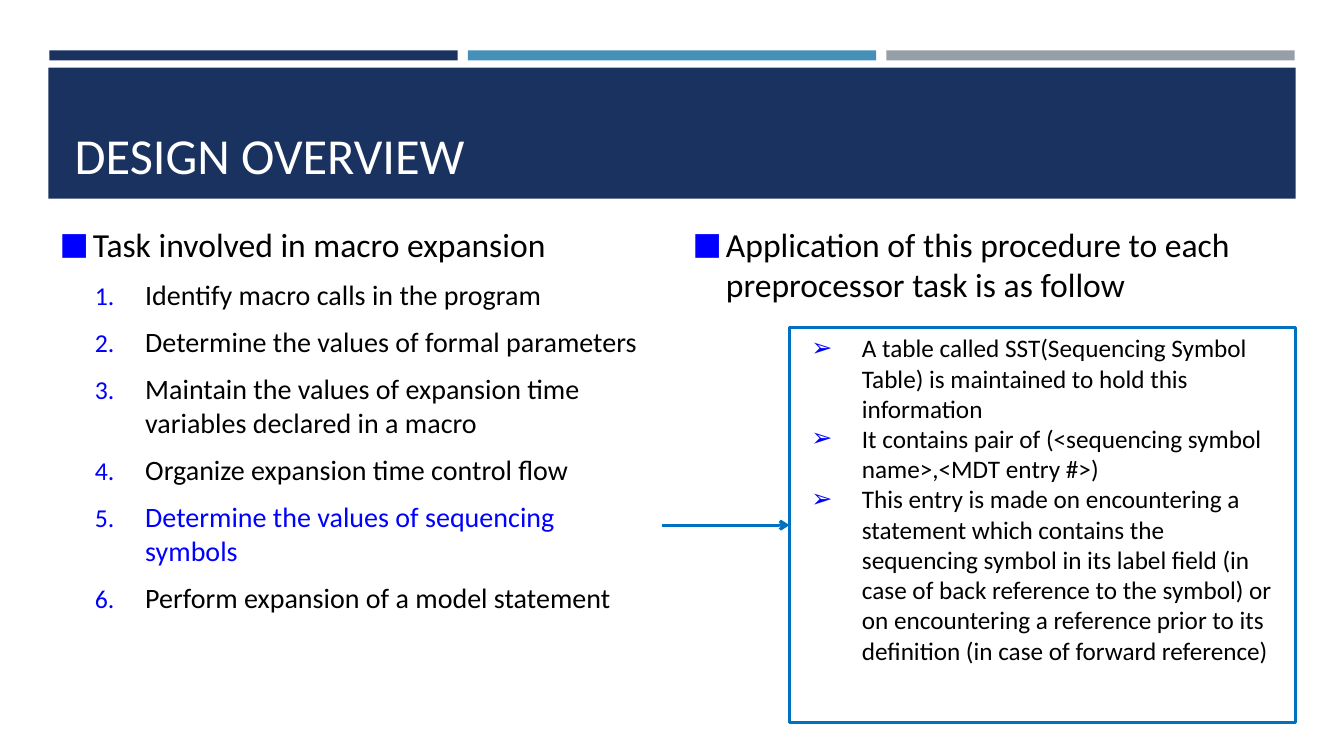
import pptx
import pptx.dml.color
import pptx.enum.shapes
import pptx.enum.text
import pptx.oxml
import pptx.oxml.ns
import pptx.util
from pptx.util import Inches

RGBColor = pptx.dml.color.RGBColor
NAVY = RGBColor(0x1A, 0x32, 0x60)
SKY = RGBColor(0x45, 0x90, 0xB8)
GRAY = RGBColor(0x96, 0x9F, 0xA7)
BLUE = RGBColor(0x00, 0x00, 0xFF)
LINE = RGBColor(0x00, 0x70, 0xC0)
BLACK = RGBColor(0x00, 0x00, 0x00)
WHITE = RGBColor(0xFF, 0xFF, 0xFF)
FONT = "Calibri"

TASKS = [
    "Identify macro calls in the program",
    "Determine the values of formal parameters",
    "Maintain the values of expansion time variables declared in a macro",
    "Organize expansion time control flow",
    "Determine the values of sequencing symbols",
    "Perform expansion of a model statement",
]
CURRENT_TASK = 4
DETAILS = [
    "A table called SST(Sequencing Symbol Table) is maintained to hold this information",
    "It contains pair of (<sequencing symbol name>,<MDT entry #>)",
    "This entry is made on encountering a statement which contains the sequencing "
    "symbol in its label field (in case of back reference to the symbol) or on "
    "encountering a reference prior to its definition (in case of forward reference)",
]


def add_child(parent, tag, **attrs):
    child = pptx.oxml.parse_xml(f"<a:{tag} {pptx.oxml.ns.nsdecls('a')}/>")
    for name, value in attrs.items():
        child.set(name, str(value))
    parent.append(child)
    return child


def add_rect(s, left, top, width, height, fill=None, line=None):
    sp = s.shapes.add_shape(pptx.enum.shapes.MSO_SHAPE.RECTANGLE, Inches(left),
                            Inches(top), Inches(width), Inches(height))
    sp.shadow.inherit = False
    if fill is None:
        sp.fill.background()
    else:
        sp.fill.solid()
        sp.fill.fore_color.rgb = fill
    if line is None:
        sp.line.fill.background()
    else:
        sp.line.color.rgb = line
        sp.line.width = pptx.util.Pt(1.75)
    return sp


def place_text(sp, left, top, width, height, anchor):
    sp.left, sp.top = Inches(left), Inches(top)
    sp.width, sp.height = Inches(width), Inches(height)
    return prepare_frame(sp, anchor)


def prepare_frame(sp, anchor):
    tf = sp.text_frame
    tf.word_wrap = True
    tf.auto_size = pptx.enum.text.MSO_AUTO_SIZE.NONE
    tf.vertical_anchor = anchor
    return tf


def add_paragraph(tf, text, size, color=BLACK, level=0):
    first = len(tf.paragraphs) == 1 and not tf.text
    p = tf.paragraphs[0] if first else tf.add_paragraph()
    p.level = level
    p.alignment = pptx.enum.text.PP_ALIGN.LEFT
    p.line_spacing = 1.0
    p.space_before = p.space_after = pptx.util.Pt(0)
    r = p.add_run()
    r.text = text
    r.font.name = FONT
    r.font.size = pptx.util.Pt(size)
    r.font.color.rgb = color
    return p


def set_bullet(p, margin, hang, char=None, percent=100):
    """Mark a paragraph with a character, or with a number if none is given."""
    pPr = p._p.get_or_add_pPr()
    pPr.set("marL", str(Inches(margin)))
    pPr.set("indent", str(-Inches(hang)))
    add_child(add_child(pPr, "buClr"), "srgbClr", val=BLUE)
    add_child(pPr, "buSzPct", val=percent * 1000)
    add_child(pPr, "buFont", typeface=FONT)
    if char:
        add_child(pPr, "buChar", char=char)
    else:
        add_child(pPr, "buAutoNum", type="arabicPeriod")


def add_heading(tf, text):
    p = add_paragraph(tf, text, 24)
    set_bullet(p, 0.33, 0.33, "■", 92)
    p.space_after = pptx.util.Pt(6)


def add_arrow(s, left, top, target):
    c = s.shapes.add_connector(pptx.enum.shapes.MSO_CONNECTOR.STRAIGHT, Inches(left),
                               Inches(top), target.left, Inches(top))
    c.end_connect(target, 1)
    c.line.color.rgb = LINE
    c.line.width = pptx.util.Pt(2.25)
    add_child(c.line._get_or_add_ln(), "tailEnd", type="arrow")
    add_child(c._element.spPr, "effectLst")


def main():
    prs = pptx.Presentation()
    prs.slide_width, prs.slide_height = Inches(13.33), Inches(7.5)
    s = prs.slides.add_slide(prs.slide_layouts[3])
    title, left_body, right_body = s.placeholders
    top = pptx.enum.text.MSO_ANCHOR.TOP
    bottom = pptx.enum.text.MSO_ANCHOR.BOTTOM

    # Header band
    for i, color in enumerate((NAVY, SKY, GRAY)):
        add_rect(s, 0.49 + i * 4.15, 0.5, 4.05, 0.1, color)
    band = add_rect(s, 0.48, 0.67, 12.37, 1.3, NAVY)
    title._element.addprevious(band._element)

    # Title
    tf = place_text(title, 0.64, 0.77, 12.06, 1.11, bottom)
    add_paragraph(tf, "DESIGN OVERVIEW", 36, WHITE)

    # Numbered tasks
    tf = place_text(left_body, 0.49, 2.17, 6.08, 5, top)
    add_heading(tf, "Task involved in macro expansion")
    for i, task in enumerate(TASKS):
        p = add_paragraph(tf, task, 20, BLUE if i == CURRENT_TASK else BLACK, 1)
        set_bullet(p, 0.85, 0.5, percent=92)
        p.space_before = pptx.util.Pt(3.6)
        p.space_after = pptx.util.Pt(6)

    # Procedure heading
    tf = place_text(right_body, 6.77, 2.17, 6.08, 1.08, top)
    add_heading(tf, "Application of this procedure to each preprocessor task is as follow")

    # Details of the current task
    box = add_rect(s, 7.83, 3.25, 5.02, 3.92, line=LINE)
    tf = prepare_frame(box, top)
    for detail in DETAILS:
        set_bullet(add_paragraph(tf, detail, 18, level=2), 0.62, 0.5, "➢")
    add_arrow(s, 6.57, 5.21, box)

    prs.save("out.pptx")


if __name__ == "__main__":
    main()
